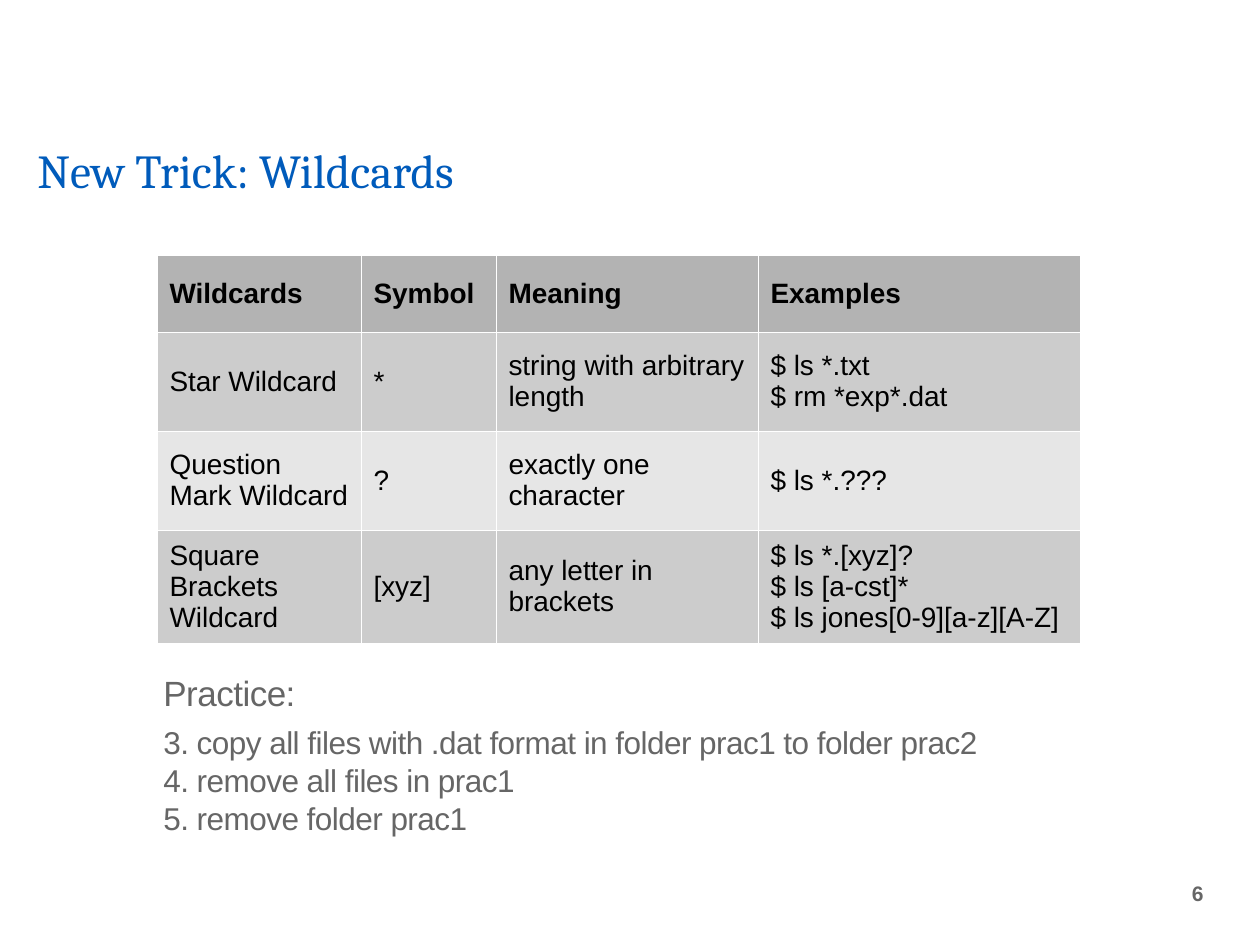
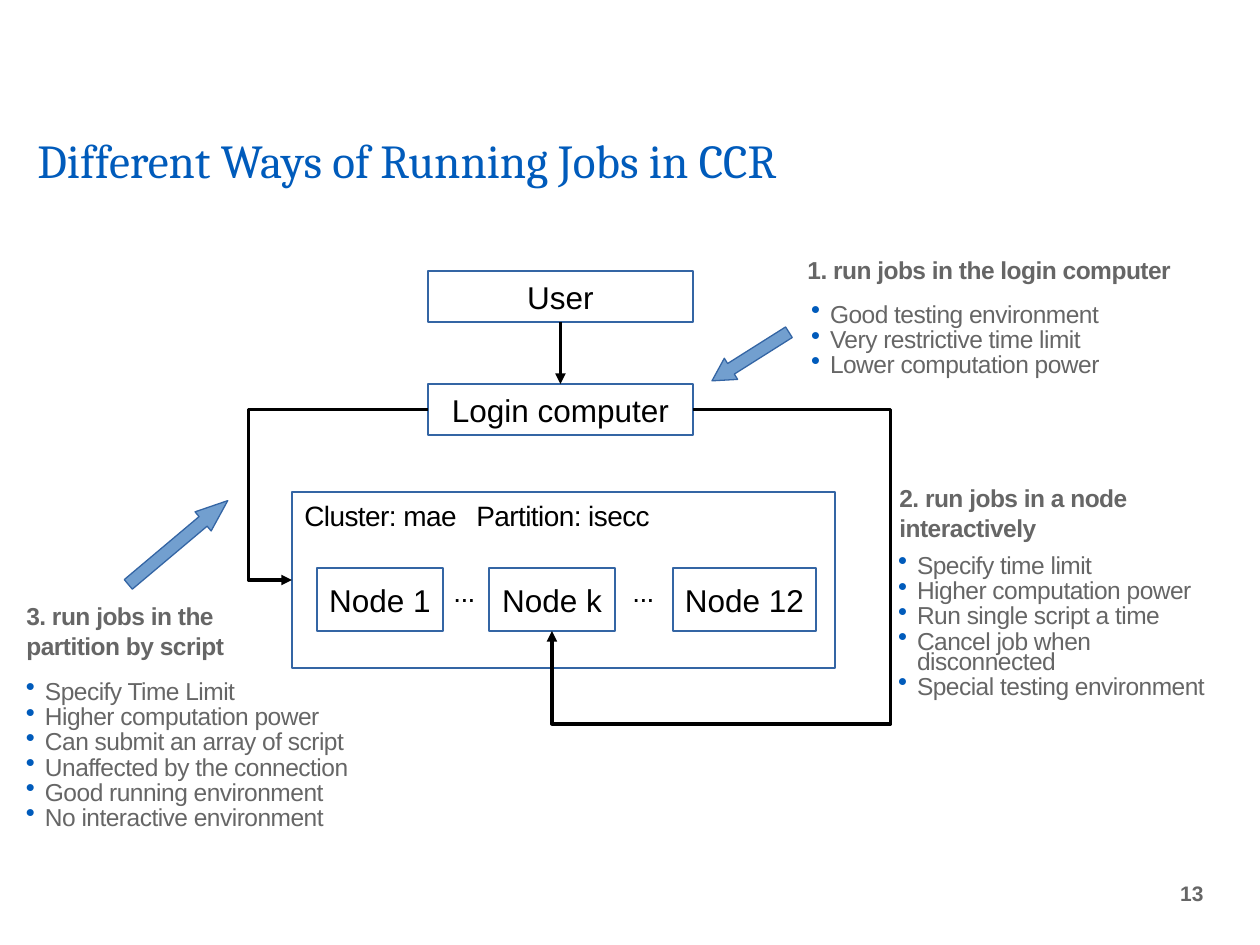
"""Build two slides on shell wildcards and on running jobs."""
from lxml.etree import SubElement as Sub
from pptx import Presentation
from pptx.dml.color import RGBColor as Rgb
from pptx.enum.shapes import MSO_CONNECTOR as Link, MSO_SHAPE as Kind
from pptx.enum.text import MSO_ANCHOR as Anchor, PP_ALIGN as Align
from pptx.oxml.ns import qn
from pptx.util import Pt

HUES = {"title": "005BBB", "gray": "666666", "ink": "000000", "white": "FFFFFF",
        "head": "B3B3B3", "odd": "CCCCCC", "even": "E6E6E6",
        "edge": "3465A4", "arrow": "729FCF"}
SCALE = 914400 / 126
ROWS = [
    ["Wildcards", "Symbol", "Meaning", "Examples"],
    ["Star Wildcard", "*", "string with arbitrary length", "$ ls *.txt\n$ rm *exp*.dat"],
    ["Question Mark Wildcard", "?", "exactly one character", "$ ls *.???"],
    ["Square Brackets Wildcard", "[xyz]", "any letter in brackets",
     "$ ls *.[xyz]?\n$ ls [a-cst]*\n$ ls jones[0-9][a-z][A-Z]"],
]
TASKS = """3. copy all files with .dat format in folder prac1 to folder prac2
4. remove all files in prac1
5. remove folder prac1"""
LOGIN = """Good testing environment
Very restrictive time limit
Lower computation power"""
NODE = """Specify time limit
Higher computation power
Run single script a time
Cancel job when disconnected
Special testing environment"""
SCRIPT = """Specify Time Limit
Higher computation power
Can submit an array of script
Unaffected by the connection
Good running environment
No interactive environment"""


def px(num):
    """Turn pixels into EMU."""
    return round(num * SCALE)


def hue(name):
    """Look up a named colour."""
    return Rgb.from_string(HUES[name])


def mark(para):
    """Give a paragraph a hanging round bullet."""
    props = para._p.get_or_add_pPr()
    props.set("marL", str(px(19)))
    props.set("indent", str(px(-19)))
    Sub(Sub(props, qn("a:buClr")), qn("a:srgbClr"), val=HUES["title"])
    Sub(props, qn("a:buSzPct"), val="109000")
    Sub(props, qn("a:buChar"), char="•")


def write(frame, text, size=18, color="ink", font="Arial", bold=False, align=None,
          anchor=None, wrap=True, track=0, lead=None, gap=0, dot=False, tab=0):
    """Fill a text frame, one paragraph a line."""
    frame.word_wrap = wrap
    if anchor is not None:
        frame.vertical_anchor = anchor
    for num, line in enumerate(text.split("\n")):
        para = frame.add_paragraph() if num else frame.paragraphs[0]
        if dot:
            mark(para)
        if tab:
            tabs = Sub(para._p.get_or_add_pPr(), qn("a:tabLst"))
            Sub(tabs, qn("a:tab"), pos=str(px(tab)), algn="l")
        para.alignment = align
        para.line_spacing = lead
        if num and gap:
            para.space_before = Pt(gap)
        run = para.add_run()
        run.text = line
        run.font.size, run.font.name, run.font.bold = Pt(size), font, bold
        run.font.color.rgb = hue(color)
        if track:
            run._r.get_or_add_rPr().set("spc", str(track))


def label(slide, box, text, side=None, **form):
    """Place a text box."""
    frame = slide.shapes.add_textbox(*map(px, box)).text_frame
    if side:
        frame.margin_left = frame.margin_right = px(side)
    write(frame, text, **form)


def block(slide, box, kind=Kind.RECTANGLE, fill=None, text=""):
    """Place an outlined shape with an optional caption."""
    shape = slide.shapes.add_shape(kind, *map(px, box))
    shape.shadow.inherit = False
    shape.line.color.rgb = hue("edge")
    shape.line.width = 0
    if fill:
        shape.fill.solid()
        shape.fill.fore_color.rgb = hue(fill)
    else:
        shape.fill.background()
    if text:
        write(shape.text_frame, text, align=Align.CENTER, anchor=Anchor.MIDDLE, wrap=False)
    return shape


def join(slide, start, end, kind=Link.STRAIGHT, bends=()):
    """Draw an arrow between two (shape, side) pairs."""
    line = slide.shapes.add_connector(kind, 0, 0, 0, 0)
    line.begin_connect(*start)
    line.end_connect(*end)
    line.line.color.rgb = hue("ink")
    line.line.width = 0
    props = line._element.spPr
    Sub(props.find(qn("a:ln")), qn("a:tailEnd"), type="triangle")
    Sub(props, qn("a:effectLst"))
    if bends:
        geom = props.find(qn("a:prstGeom"))
        geom.set("prst", f"bentConnector{len(bends) + 2}")
        guides = geom.find(qn("a:avLst"))
        for num, bend in enumerate(bends, 1):
            Sub(guides, qn("a:gd"), name=f"adj{num}", fmla=f"val {bend}")


def pointer(slide, box, turn, head):
    """Place a turned block arrow."""
    shape = block(slide, box, Kind.LEFT_ARROW, "arrow")
    shape.adjustments[1] = head
    shape.rotation = turn


def base(deck, title, top, page):
    """Add a slide with its title and page number."""
    slide = deck.slides.add_slide(deck.slide_layouts[6])
    label(slide, (25, top, 1139, 65), title, size=27, color="title", font="Cambria",
          anchor=Anchor.BOTTOM, lead=0.8)
    label(slide, (1142, 857, 74, 73), page, size=12, color="gray", bold=True,
          align=Align.RIGHT, anchor=Anchor.MIDDLE)
    return slide


def paint(cell, fill):
    """Fill a cell and rule it with white hairlines."""
    props = cell._tc.get_or_add_tcPr()
    for side in "LRTB":
        line = Sub(props, qn(f"a:ln{side}"), w="762")
        Sub(Sub(line, qn("a:solidFill")), qn("a:srgbClr"), val=HUES["white"])
    cell.fill.solid()
    cell.fill.fore_color.rgb = hue(fill)


def grid(slide, x, y, wides, highs):
    """Place the wildcard table."""
    box = x, y, sum(wides), sum(highs)
    table = slide.shapes.add_table(len(highs), len(wides), *map(px, box)).table
    for col, wide in zip(table.columns, wides):
        col.width = px(wide)
    for num, (row, high) in enumerate(zip(table.rows, highs)):
        row.height = px(high)
        fill = "odd" if num % 2 else "even" if num else "head"
        for cell, text in zip(row.cells, ROWS[num]):
            paint(cell, fill)
            cell.vertical_anchor = Anchor.MIDDLE
            write(cell.text_frame, text, size=16, bold=num == 0)


def tasks(slide, x, y):
    """Place the practice list."""
    form = {"color": "gray", "track": -30}
    label(slide, (x, y, 504, 52), "Practice:", size=20, **form)
    label(slide, (x, y + 52, 907, 137), TASKS, **form)


def note(slide, box, head, shift, wide, items):
    """Place a bold heading with its bullets, shifted from the heading."""
    form = {"size": 14, "color": "gray", "track": -30}
    label(slide, box, head, bold=True, **form)
    body = box[0] + shift[0], box[1] + shift[1], wide, 26 * len(items.split("\n")) + 12
    label(slide, body, items, side=25, lead=Pt(11.5), gap=2.9, dot=True, **form)


def cluster(slide, x, y):
    """Place the cluster with its nodes; return the frame and the middle node."""
    form = {"size": 16, "track": -30}
    frame = block(slide, (x, y, 543, 176))
    label(slide, (x, y, 539, 50), "Cluster: mae\tPartition: isecc", tab=172, **form)
    nodes = [block(slide, (x + left, y + 76, wide, 63), text=text) for left, wide, text in
             ((25, 126, "Node 1"), (197, 126, "Node k"), (381, 143, "Node 12"))]
    for left in (149, 328):
        label(slide, (x + left, y + 76, 63, 50), "...", **form)
    return frame, nodes[1]


def flow(slide, x, y):
    """Place the chart from user to cluster."""
    user, login = (block(slide, (x, y + drop, 265, 51), text=text)
                   for drop, text in ((0, "User"), (113, "Login computer")))
    frame, node = cluster(slide, x - 136, y + 221)
    join(slide, (user, 2), (login, 0))
    join(slide, (login, 1), (frame, 1), Link.ELBOW, (131900,))
    join(slide, (login, 3), (node, 2), Link.ELBOW, (-140200, 141900))


def main():
    """Build and save both slides."""
    deck = Presentation()
    deck.slide_width, deck.slide_height = px(1260), px(945)
    slide = base(deck, "New Trick: Wildcards", 139, "6")
    grid(slide, 157, 255, (204, 135, 262, 322), (77, 99, 99, 99))
    tasks(slide, 151, 665)
    slide = base(deck, "Different Ways of Running Jobs in CCR", 129, "13")
    flow(slide, 428, 271)
    note(slide, (795, 249, 450, 47), "1. run jobs in the login computer", (-9, 53), 446, LOGIN)
    note(slide, (887, 477, 265, 68), "2. run jobs in a node interactively", (-14, 76), 387, NODE)
    note(slide, (14, 595, 226, 68), "3. run jobs in the partition by script", (-13, 84), 389,
         SCRIPT)
    pointer(slide, (705, 344, 91, 25), 327.7, 0.9)
    pointer(slide, (113, 530, 130, 25), 139.9, 1.29)
    deck.save("out.pptx")


if __name__ == "__main__":
    main()
